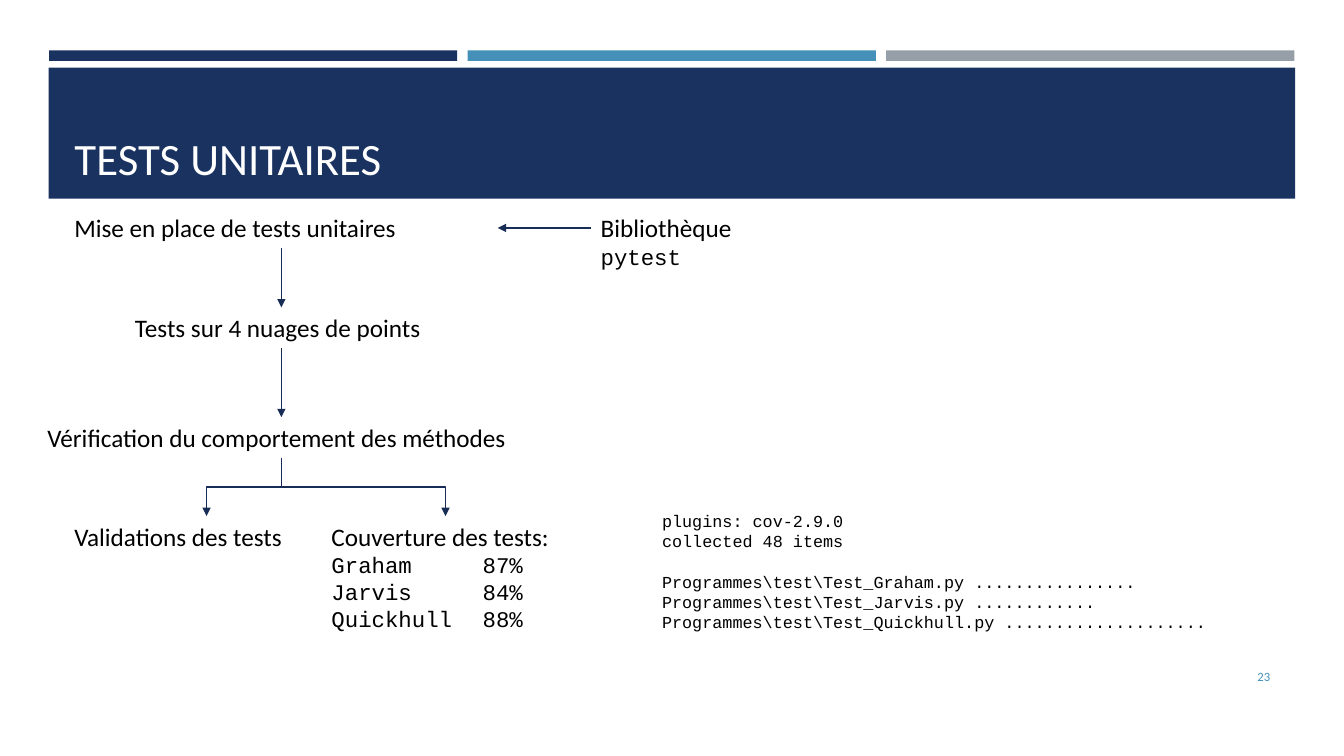
from dataclasses import dataclass

from lxml import etree
from pptx import Presentation
from pptx.dml.color import RGBColor
from pptx.enum.shapes import MSO_CONNECTOR, MSO_SHAPE
from pptx.enum.text import MSO_ANCHOR, PP_ALIGN
from pptx.oxml.ns import qn
from pptx.util import Pt

STRAIGHT, ELBOW = MSO_CONNECTOR.STRAIGHT, MSO_CONNECTOR.ELBOW
RECTANGLE = MSO_SHAPE.RECTANGLE
TOP, MIDDLE, BOTTOM = MSO_ANCHOR.TOP, MSO_ANCHOR.MIDDLE, MSO_ANCHOR.BOTTOM
LEFT, RIGHT = PP_ALIGN.LEFT, PP_ALIGN.RIGHT
TITLE_ONLY = 5


@dataclass(frozen=True)
class Theme:
    navy: str = "1A3260"
    blue: str = "4590B8"
    grey: str = "969FA7"
    arrow: str = "172D56"
    black: str = "000000"
    white: str = "FFFFFF"
    sans: str = "Calibri"
    mono: str = "Courier New"
    title: float = 32
    body: float = 18
    mono_body: float = 16
    listing: float = 12
    number: float = 9
    mono_spacing: float = 1.2


THEME = Theme()

STEP_HEIGHT = 28.9
STEP_TOPS = (148.4, 219.6, 298, 368.6)
AXIS = 201
BRANCHES = (147.5, 318.2)
PERCENT_TAB = 108

COVERAGE = {"Graham": "87%", "Jarvis": "84%", "Quickhull": "88%"}
SUMMARY = ("plugins: cov-2.9.0", "collected 48 items")
TEST_COUNTS = {"Graham": 16, "Jarvis": 12, "Quickhull": 20}


def style(para, size, color=THEME.black, font=THEME.sans):
    for span in para.runs:
        span.font.size = Pt(size)
        span.font.name = font
        span.font.color.rgb = RGBColor.from_string(color)


def style_mono(para, size):
    style(para, size, font=THEME.mono)
    para.line_spacing = Pt(size * THEME.mono_spacing)


def add_bar(page, left, top, width, height, color):
    bar = page.shapes.add_shape(RECTANGLE, Pt(left), Pt(top), Pt(width), Pt(height))
    bar.shadow.inherit = False
    bar.fill.solid()
    bar.fill.fore_color.rgb = RGBColor.from_string(color)
    bar.line.fill.background()


def add_text(page, left, top, width, height, lines, anchor=TOP):
    box = page.shapes.add_textbox(Pt(left), Pt(top), Pt(width), Pt(height))
    frame = box.text_frame
    frame.word_wrap = True
    frame.vertical_anchor = anchor
    frame.text = "\n".join(lines)
    return frame.paragraphs


def add_label(page, left, top, width, text, mono_lines=()):
    height = STEP_HEIGHT + len(mono_lines) * THEME.mono_body * THEME.mono_spacing
    first, *rest = add_text(page, left, top, width, height, (text, *mono_lines))
    style(first, THEME.body)
    for para in rest:
        style_mono(para, THEME.mono_body)
    return rest


def add_arrow(page, kind, start_x, start_y, end_x, end_y):
    arrow = page.shapes.add_connector(kind, Pt(start_x), Pt(start_y), Pt(end_x), Pt(end_y))
    arrow.line.color.rgb = RGBColor.from_string(THEME.arrow)
    arrow.line.width = Pt(1)
    etree.SubElement(arrow.line._get_or_add_ln(), qn("a:tailEnd"), type="triangle")
    etree.SubElement(arrow._element.spPr, qn("a:effectLst"))
    return arrow


def add_branch(page, start_x, start_y, end_x, end_y):
    """Elbow that leaves and arrives vertically: a quarter turn about its centre."""
    center_x, center_y = (start_x + end_x) / 2, (start_y + end_y) / 2
    half_x, half_y = (end_x - start_x) / 2, (end_y - start_y) / 2
    arrow = add_arrow(page, ELBOW, center_x - half_y, center_y + half_x,
                      center_x + half_y, center_y - half_x)
    arrow._element.spPr.find(qn("a:xfrm")).set("rot", "5400000")


def add_tab(para, position):
    tabs = etree.SubElement(para._p.get_or_add_pPr(), qn("a:tabLst"))
    etree.SubElement(tabs, qn("a:tab"), pos=str(Pt(position)), algn="l")


def add_header(page):
    for column, color in enumerate((THEME.navy, THEME.blue, THEME.grey)):
        add_bar(page, 35 + column * 299, 36, 291.6, 7.5, color)
    add_bar(page, 34.8, 48.4, 890.4, 93.6, THEME.navy)

    title = page.shapes.title
    page.shapes._spTree.append(title._element)  # bring in front of the banner
    title.left, title.top, title.width, title.height = Pt(46), Pt(55.4), Pt(868.4), Pt(80)
    frame = title.text_frame
    frame.text = "TESTS UNITAIRES"
    frame.vertical_anchor = BOTTOM
    frame.paragraphs[0].alignment = LEFT
    style(frame.paragraphs[0], THEME.title, THEME.white)


def add_flow(page):
    setup, clouds, check, results = STEP_TOPS
    add_label(page, 46, setup, 309.6, "Mise en place de tests unitaires")
    add_label(page, 89.3, clouds, 222.5, "Tests sur 4 nuages de points")
    add_label(page, 26.8, check, 348, "Vérification du comportement des méthodes")
    add_label(page, 46, results, 203.8, "Validations des tests")
    add_label(page, 422, setup, 168.5, "Bibliothèque", ("pytest",))
    rows = [f"{name}\t{share}" for name, share in COVERAGE.items()]
    for para in add_label(page, 229.7, results, 176.4, "Couverture des tests:", rows):
        add_tab(para, PERCENT_TAB)

    # Arrows between the steps
    for above, below in ((setup, clouds), (clouds, check)):
        add_arrow(page, STRAIGHT, AXIS, above + STEP_HEIGHT, AXIS, below)
    add_arrow(page, STRAIGHT, 422, 162.8, 355.6, 162.8)
    for branch in BRANCHES:
        add_branch(page, AXIS, check + STEP_HEIGHT, branch, results)


def add_listing(page):
    tests = [f"Programmes\\test\\Test_{name}.py " + "." * count
             for name, count in TEST_COUNTS.items()]
    paras = add_text(page, 465.8, 361.4, 409, 94.3, (*SUMMARY, *tests))
    for para in paras:
        style_mono(para, THEME.listing)
    paras[len(SUMMARY)].space_before = Pt(THEME.listing * THEME.mono_spacing)


def add_page_number(page):
    para = add_text(page, 831.6, 468.7, 82.8, 28.8, ("23",), MIDDLE)[0]
    para.alignment = RIGHT
    style(para, THEME.number, THEME.blue)


def main():
    deck = Presentation()
    deck.slide_width, deck.slide_height = Pt(960), Pt(540)
    page = deck.slides.add_slide(deck.slide_layouts[TITLE_ONLY])
    add_header(page)
    add_flow(page)
    add_listing(page)
    add_page_number(page)
    deck.save("out.pptx")


if __name__ == "__main__":
    main()
